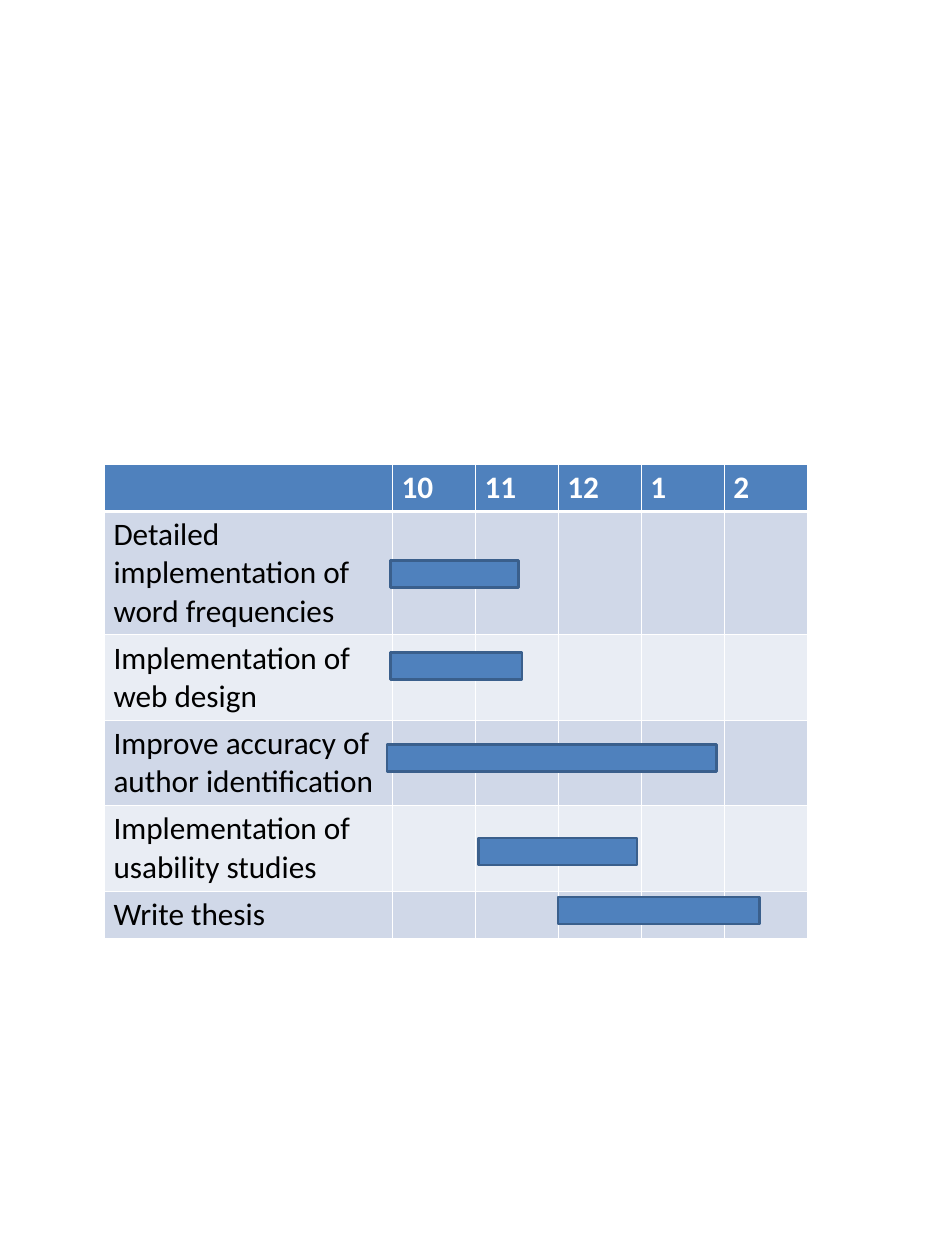
"""Build a thesis schedule slide: a month table with Gantt bars."""
from lxml.etree import SubElement
from pptx import Presentation
from pptx.dml.color import RGBColor
from pptx.enum.shapes import MSO_SHAPE
from pptx.oxml.ns import qn
from pptx.util import Cm, Pt

COLORS = {
    "blue": "4F81BD",
    "outline": "3A5F8C",
    "band": "D0D8E8",
    "light": "E9EDF4",
    "white": "FFFFFF",
    "black": "000000",
}
MONTHS = ["10", "11", "12", "1", "2"]
TASKS = [
    ("Detailed implementation of word frequencies", 3.48, 11.02, 15.82, 3.61),
    ("Implementation of web design", 2.41, 11.02, 18.42, 3.71),
    ("Improve accuracy of author identification", 2.41, 10.92, 21.01, 9.3),
    ("Implementation of usability studies", 2.41, 13.51, 23.65, 4.47),
    ("Write thesis", 1.32, 15.75, 25.32, 5.69),
]


def rgb(name):
    return RGBColor.from_string(COLORS[name])


def add_border(cell, side, width):
    ln = SubElement(cell._tc.get_or_add_tcPr(), qn("a:ln" + side), w=str(Pt(width)))
    fill = SubElement(ln, qn("a:solidFill"))
    SubElement(fill, qn("a:srgbClr"), val=COLORS["white"])


prs = Presentation()
prs.slide_width, prs.slide_height = Cm(26.67), Cm(35.56)
s = prs.slides.add_slide(prs.slide_layouts[6])

rows = [[""] + MONTHS] + [[task[0]] + [""] * len(MONTHS) for task in TASKS]
heights = [1.32] + [task[1] for task in TASKS]
widths = [8.13] + [2.34] * len(MONTHS)
table = s.shapes.add_table(
    len(rows), len(widths), Cm(2.95), Cm(13.11), Cm(sum(widths)), Cm(sum(heights))
).table
for column, width in zip(table.columns, widths):
    column.width = Cm(width)

for i, texts in enumerate(rows):
    table.rows[i].height = Cm(heights[i])
    fill = "blue" if i == 0 else "band" if i % 2 else "light"
    for j, text in enumerate(texts):
        cell = table.cell(i, j)
        for side in "LRTB":
            heavy = (i, side) in [(0, "B"), (1, "T")]
            add_border(cell, side, 3 if heavy else 1)
        cell.fill.solid()
        cell.fill.fore_color.rgb = rgb(fill)
        if text:
            r = cell.text_frame.paragraphs[0].add_run()
            r.text = text
            r.font.name = "Calibri"
            r.font.size = Pt(25)
            r.font.bold = i == 0
            r.font.color.rgb = rgb("white" if i == 0 else "black")

for _, _, left, top, width in TASKS:
    bar = s.shapes.add_shape(MSO_SHAPE.RECTANGLE, Cm(left), Cm(top), Cm(width), Cm(0.76))
    bar.shadow.inherit = False
    bar.fill.solid()
    bar.fill.fore_color.rgb = rgb("blue")
    bar.line.color.rgb = rgb("outline")
    bar.line.width = Pt(2)

prs.save("out.pptx")
